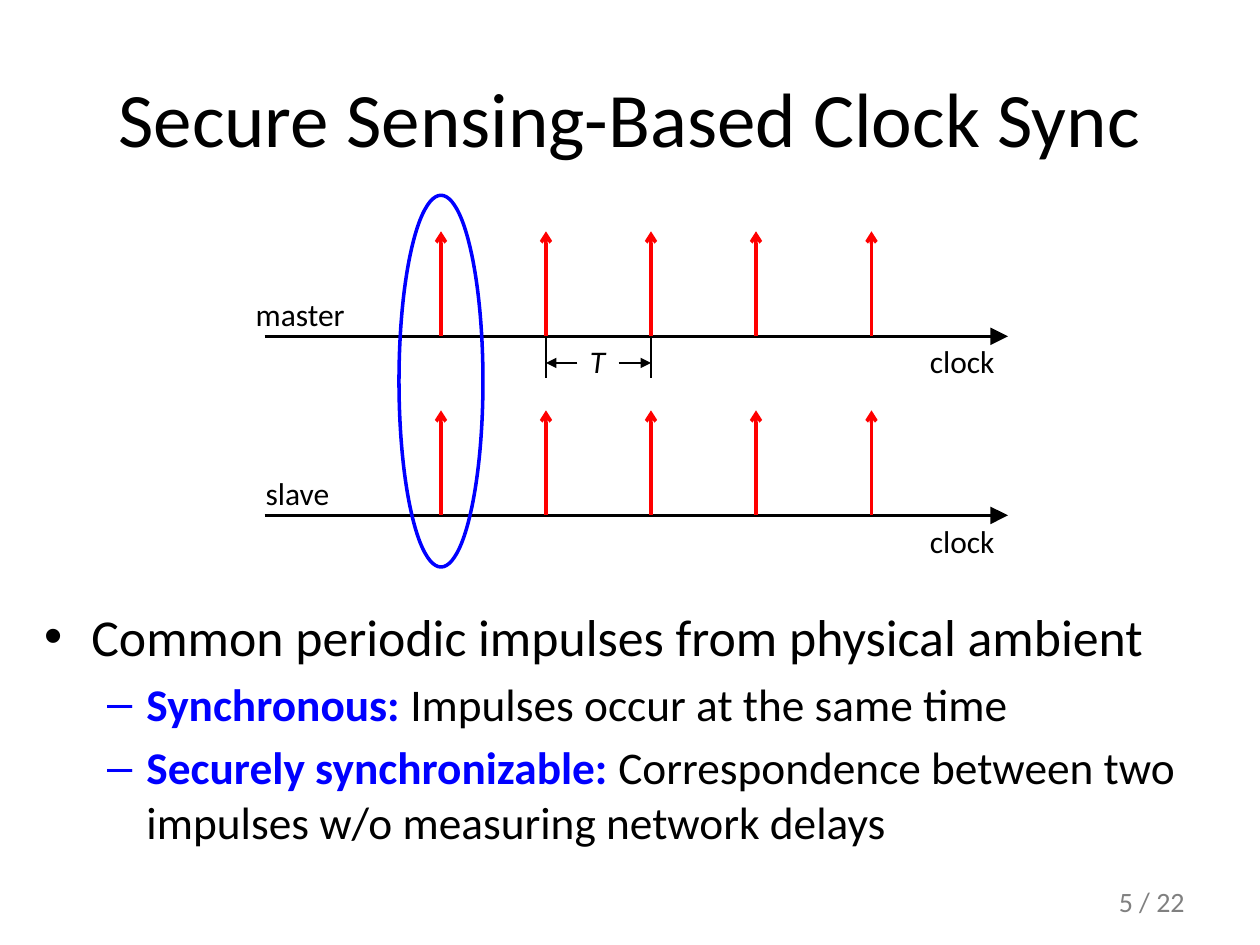
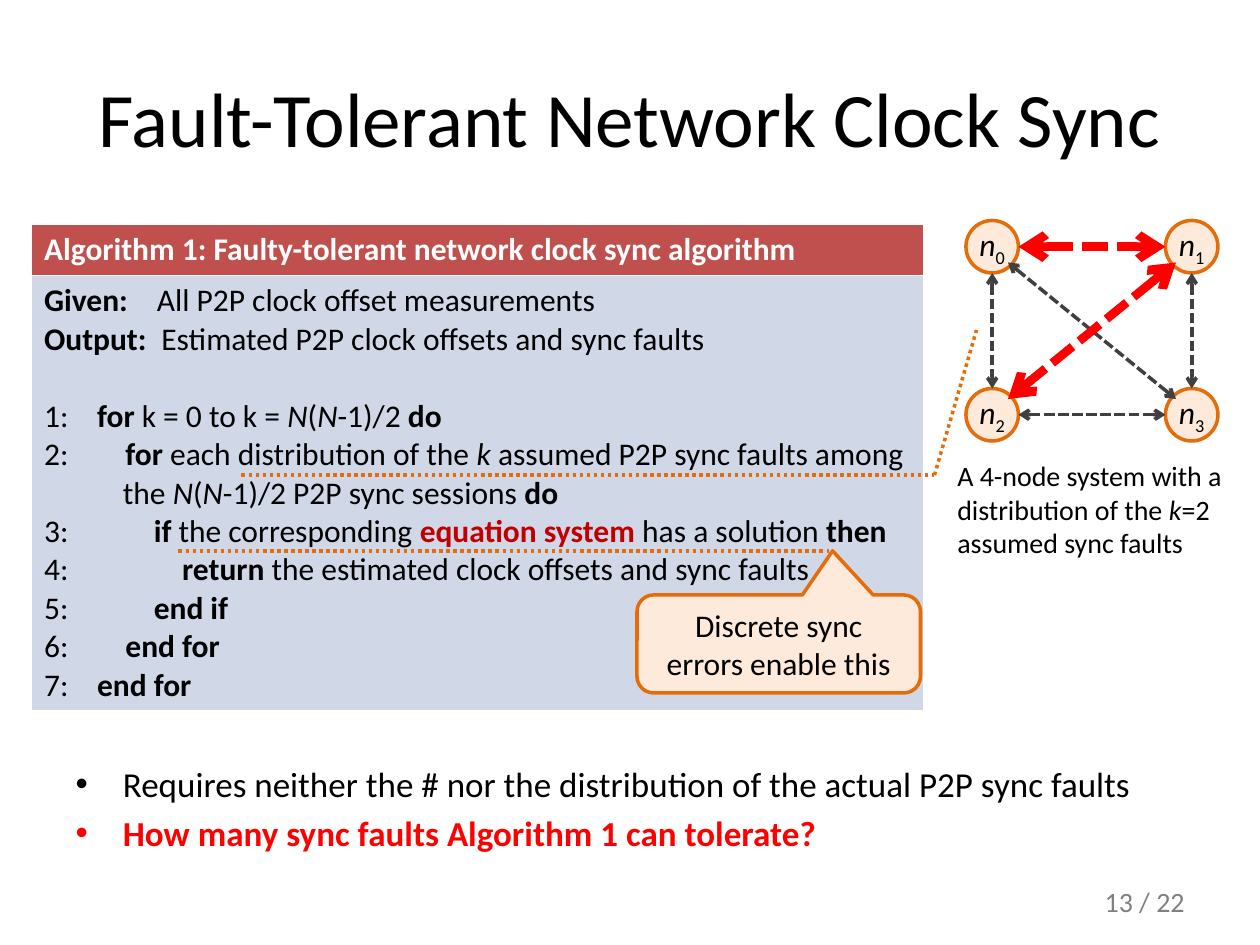
"""Build two slides on secure and fault-tolerant clock synchronisation."""
from dataclasses import dataclass

from lxml import etree
from pptx import Presentation
from pptx.dml.color import RGBColor
from pptx.enum.dml import MSO_LINE
from pptx.enum.shapes import MSO_CONNECTOR, MSO_SHAPE
from pptx.enum.text import MSO_ANCHOR, MSO_AUTO_SIZE, PP_ALIGN
from pptx.oxml.ns import qn
from pptx.util import Pt

STRAIGHT = MSO_CONNECTOR.STRAIGHT
ELLIPSE = MSO_SHAPE.OVAL
CALLOUT = MSO_SHAPE.ROUNDED_RECTANGULAR_CALLOUT
DASHED, DOTTED = MSO_LINE.SQUARE_DOT, MSO_LINE.ROUND_DOT
CENTER, RIGHT = PP_ALIGN.CENTER, PP_ALIGN.RIGHT
MIDDLE, TOP = MSO_ANCHOR.MIDDLE, MSO_ANCHOR.TOP
NO_FIT = MSO_AUTO_SIZE.NONE
TITLE_AND_CONTENT = 1
PAGE_TOTAL = 22


@dataclass(frozen=True)
class Theme:
    """Colours, font and type sizes of the deck."""
    font: str = "Calibri"
    ink: str = "000000"
    white: str = "FFFFFF"
    grey: str = "808080"
    dark_grey: str = "404040"
    red: str = "FF0000"
    deep_red: str = "C00000"
    blue: str = "0000FF"
    orange: str = "E46C0A"
    peach: str = "FDEADA"
    header_fill: str = "C0504D"
    code_fill: str = "D0D8E8"
    title_size: float = 44
    lead_size: float = 29.6
    detail_size: float = 25.9
    remark_size: float = 20
    label_size: float = 18
    small_size: float = 16


THEME = Theme()
BOLD = {"bold": True}
ITALIC = {"italic": True}
SUBSCRIPT = {"baseline": -25000}
KEY_TERM = {"bold": True, "color": THEME.blue}


def write(para, text, size=THEME.label_size, color=THEME.ink, bold=False,
          italic=False, baseline=None):
    """Add one formatted span of text to a paragraph."""
    span = para.add_run()
    span.text = text
    font = span.font
    font.name, font.size = THEME.font, Pt(size)
    font.bold, font.italic = bold, italic
    font.color.rgb = RGBColor.from_string(color)
    if baseline is not None:
        font._element.set("baseline", str(baseline))


def write_spans(para, spans, **style):
    """Write plain strings and (text, format) pairs into a paragraph."""
    for span in spans:
        text, extra = (span, {}) if isinstance(span, str) else span
        write(para, text, **{**style, **extra})


def paragraphs(frame, count):
    """Return the first paragraph of a frame and enough new ones."""
    return [frame.paragraphs[0]] + [frame.add_paragraph() for _ in range(count - 1)]


def set_tab(para, position):
    """Give a paragraph one left tab stop."""
    tabs = etree.SubElement(para._p.get_or_add_pPr(), qn("a:tabLst"))
    etree.SubElement(tabs, qn("a:tab"), pos=str(Pt(position)), algn="l")


def place(box, left, top, width, height):
    """Move and size a shape."""
    box.left, box.top = Pt(left), Pt(top)
    box.width, box.height = Pt(width), Pt(height)


class SlideBuilder:
    """Draws styled elements on the current slide."""

    def __init__(self, theme):
        """Start an empty deck."""
        self.theme = theme
        self.deck = Presentation()
        self.deck.slide_width, self.deck.slide_height = Pt(720), Pt(540)

    def new_page(self, title, number):
        """Add a slide with its title and page number."""
        self.page = self.deck.slides.add_slide(
            self.deck.slide_layouts[TITLE_AND_CONTENT])
        box = self.page.shapes.title
        place(box, 36, 21.6, 648, 90)
        frame = box.text_frame
        frame.auto_size, frame.vertical_anchor = NO_FIT, MIDDLE
        para = frame.paragraphs[0]
        para.alignment = CENTER
        write(para, title, size=self.theme.title_size)
        self.text((516, 500.5, 168, 28.8), [f"{number} / {PAGE_TOTAL}"],
                  align=RIGHT, anchor=MIDDLE, size=self.theme.small_size,
                  color=self.theme.grey)

    def bullets(self, area, items):
        """Fill the body placeholder with (level, size, spans) items."""
        box = self.page.placeholders[1]
        place(box, *area)
        frame = box.text_frame
        frame.auto_size = NO_FIT
        for index, para in enumerate(paragraphs(frame, len(items))):
            level, size, spans = items[index]
            para.level = level
            para.space_before = Pt(round(size * 0.2, 1) if index else 0)
            write_spans(para, spans, size=size)

    def text(self, area, spans, wrap=True, align=None, anchor=TOP, **style):
        """Add a text box of one paragraph."""
        box = self.page.shapes.add_textbox(*map(Pt, area))
        frame = box.text_frame
        frame.word_wrap, frame.vertical_anchor = wrap, anchor
        frame.paragraphs[0].alignment = align
        write_spans(frame.paragraphs[0], spans, **style)

    def line(self, start, end, color, width=2.0, dash=None, head=None, tail=None,
             head_size="med"):
        """Add a straight line with optional dashes and arrowheads."""
        connector = self.page.shapes.add_connector(STRAIGHT, *map(Pt, start + end))
        connector.line.color.rgb = RGBColor.from_string(color)
        connector.line.width = Pt(width)
        if dash is not None:
            connector.line.dash_style = dash
        outline = connector.line._get_or_add_ln()
        for tag, kind in (("a:headEnd", head), ("a:tailEnd", tail)):
            if kind:
                etree.SubElement(outline, qn(tag), type=kind, w=head_size,
                                 len=head_size)
        etree.SubElement(connector._element.spPr, qn("a:effectLst"))

    def shape(self, kind, area, outline, fill=None, spans=(), wrap=True,
              margin=7.2, adjustments=()):
        """Add a preset shape with centred text."""
        box = self.page.shapes.add_shape(kind, *map(Pt, area))
        box.shadow.inherit = False
        for index, value in enumerate(adjustments):
            box.adjustments[index] = value
        if fill:
            box.fill.solid()
            box.fill.fore_color.rgb = RGBColor.from_string(fill)
        else:
            box.fill.background()
        box.line.color.rgb = RGBColor.from_string(outline)
        box.line.width = Pt(2)
        frame = box.text_frame
        frame.word_wrap, frame.vertical_anchor = wrap, MIDDLE
        frame.margin_left = frame.margin_right = Pt(margin)
        frame.margin_top = frame.margin_bottom = Pt(min(margin, 3.6))
        frame.paragraphs[0].alignment = CENTER
        write_spans(frame.paragraphs[0], spans)

    def algorithm(self, area, heading, lines):
        """Add a two-row table with a heading and (tab, gap, spans) lines."""
        header_height = 29.2
        table = self.page.shapes.add_table(2, 1, *map(Pt, area)).table
        table.rows[0].height = Pt(header_height)
        table.rows[1].height = Pt(area[3] - header_height)
        header, body = table.cell(0, 0), table.cell(1, 0)
        for cell, fill in ((header, self.theme.header_fill),
                           (body, self.theme.code_fill)):
            cell.fill.solid()
            cell.fill.fore_color.rgb = RGBColor.from_string(fill)
        write(header.text_frame.paragraphs[0], heading,
              color=self.theme.white, bold=True)
        for para, (tab, gap, spans) in zip(
                paragraphs(body.text_frame, len(lines)), lines):
            if isinstance(spans[0], str) and "\t" not in spans[0]:
                para._p.get_or_add_pPr().set("marL", str(Pt(tab)))
            else:
                set_tab(para, tab)
            if gap:
                para.space_before = Pt(gap)
            write_spans(para, spans)


def build_sensing(builder):
    """Draw the slide on clock sync from shared impulses."""
    theme = builder.theme
    builder.new_page("Secure Sensing-Based Clock Sync", 5)
    builder.bullets((18, 342, 684, 150), [
        (0, theme.lead_size, ["Common periodic impulses from physical ambient"]),
        (1, theme.detail_size, [("Synchronous:", KEY_TERM),
                                " Impulses occur at the same time"]),
        (1, theme.detail_size, [
            ("Securely synchronizable:", KEY_TERM),
            " Correspondence between two impulses w/o measuring network delays"]),
    ])

    impulses = (252, 312, 372, 432, 498)
    master_y, slave_y = 192.2, 294.5
    for name, left, width, axis_y in (("master", 139, 65.5, master_y),
                                      ("slave", 144.7, 51, slave_y)):
        builder.line((151.2, axis_y), (576, axis_y), theme.ink, tail="triangle",
                     head_size="lg")
        builder.text((left, axis_y - 27, width, 28.8), [name], wrap=False)
        builder.text((524.2, axis_y, 51.8, 28.8), ["clock"], wrap=False)
        for x in impulses:
            builder.line((x, axis_y), (x, axis_y - 60), theme.red, tail="arrow")
    builder.shape(ELLIPSE, (228, 111.6, 48, 212.4), theme.blue)

    period_y = 207.4
    for x, inner_x in ((impulses[1], 330), (impulses[2], 353.5)):
        builder.line((x, master_y), (x, 216), theme.ink, width=1)
        builder.line((inner_x, period_y), (x, period_y), theme.ink, width=1,
                     tail="triangle")
    builder.text((330, master_y, 23, 28.8), [("T", ITALIC)], wrap=False)


def algorithm_lines():
    """Return the tab position, gap above and spans of each algorithm line."""
    first_tab, step, line_height = 30.3, 16.2, 22
    pair_count = [("N", ITALIC), "(", ("N", ITALIC)]
    steps = [
        (0, [("for", BOLD), " k = 0 to k = ", *pair_count, "-1)/2 ", ("do", BOLD)]),
        (1, [("for", BOLD), " each distribution of the ", ("k", ITALIC),
             " assumed P2P sync faults among"]),
        (2, [("if", BOLD), " the corresponding ",
             ("equation system", {"bold": True, "color": THEME.deep_red}),
             " has a solution ", ("then", BOLD)]),
        (3, [("return", BOLD), " the estimated clock offsets and sync faults"]),
        (2, [("end if", BOLD)]),
        (1, [("end for", BOLD)]),
        (0, [("end for", BOLD)]),
    ]
    lines = [(first_tab + step * depth, 0, [f"{number}:\t", *spans])
             for number, (depth, spans) in enumerate(steps, 1)]
    lines[0] = (first_tab, line_height, lines[0][2])
    lines.insert(2, (45, 0, ["the ", *pair_count, "-1)/2 P2P sync sessions ",
                             ("do", BOLD)]))
    return [
        (64.5, 0, [("Given:", BOLD), "\tAll P2P clock offset measurements"]),
        (67, 0, [("Output:", BOLD), "\tEstimated P2P clock offsets and sync faults"]),
        *lines,
    ]


def build_network(builder):
    """Draw the slide on the fault-tolerant network algorithm."""
    theme = builder.theme
    builder.new_page("Fault-Tolerant Network Clock Sync", 13)
    builder.algorithm((18, 128.2, 509.8, 278.1),
                      "Algorithm 1: Faulty-tolerant network clock sync algorithm",
                      algorithm_lines())
    builder.bullets((36, 432, 648, 54), [
        (0, theme.remark_size, ["Requires neither the # nor the distribution of "
                                "the actual P2P sync faults"]),
        (0, theme.remark_size, [("How many sync faults Algorithm 1 can tolerate?",
                                 {"bold": True, "color": theme.red})]),
    ])

    size, rim = 30, 24
    left, right, top, bottom = 552, 666, 126, 222
    middle = size / 2
    nodes = [(x, y) for y in (top, bottom) for x in (left, right)]
    for index, (x, y) in enumerate(nodes):
        builder.shape(ELLIPSE, (x, y, size, size), theme.orange, theme.peach,
                      [("n", ITALIC), (str(index), SUBSCRIPT)], wrap=False, margin=0)
    normal, faulty = (theme.dark_grey, 2), (theme.red, 5)
    near, far = left + rim, right + size - rim
    upper, lower = top + rim, bottom + size - rim
    sessions = [
        ((left + size, top + middle), (right, top + middle), faulty),
        ((left + middle, top + size), (left + middle, bottom), normal),
        ((left + size, bottom + middle), (right, bottom + middle), normal),
        ((right + middle, top + size), (right + middle, bottom), normal),
        ((near, upper), (far, lower), normal),
        ((far, upper), (near, lower), faulty),
    ]
    for start, end, (color, width) in sessions:
        builder.line(start, end, color, width, DASHED, head="arrow", tail="arrow")
    builder.text((540, 258.5, 174, 65.5),
                 ["A 4-node system with a distribution of the ", ("k", ITALIC),
                  "=2 assumed sync faults"], size=theme.small_size)

    builder.shape(CALLOUT, (364, 340, 162, 56), theme.orange, theme.peach,
                  ["Discrete sync errors enable this"],
                  adjustments=(0.19, -0.95, 0.17))
    solution_y, faults_y, bend_x = 315, 271.5, 534
    for start, end in (((102, solution_y), (474, solution_y)),
                       ((138, faults_y), (bend_x, faults_y)),
                       ((bend_x, faults_y), (558, 188.6))):
        builder.line(start, end, theme.orange, dash=DOTTED)


def main():
    """Build both slides and save the deck."""
    builder = SlideBuilder(THEME)
    build_sensing(builder)
    build_network(builder)
    builder.deck.save("out.pptx")


if __name__ == "__main__":
    main()
